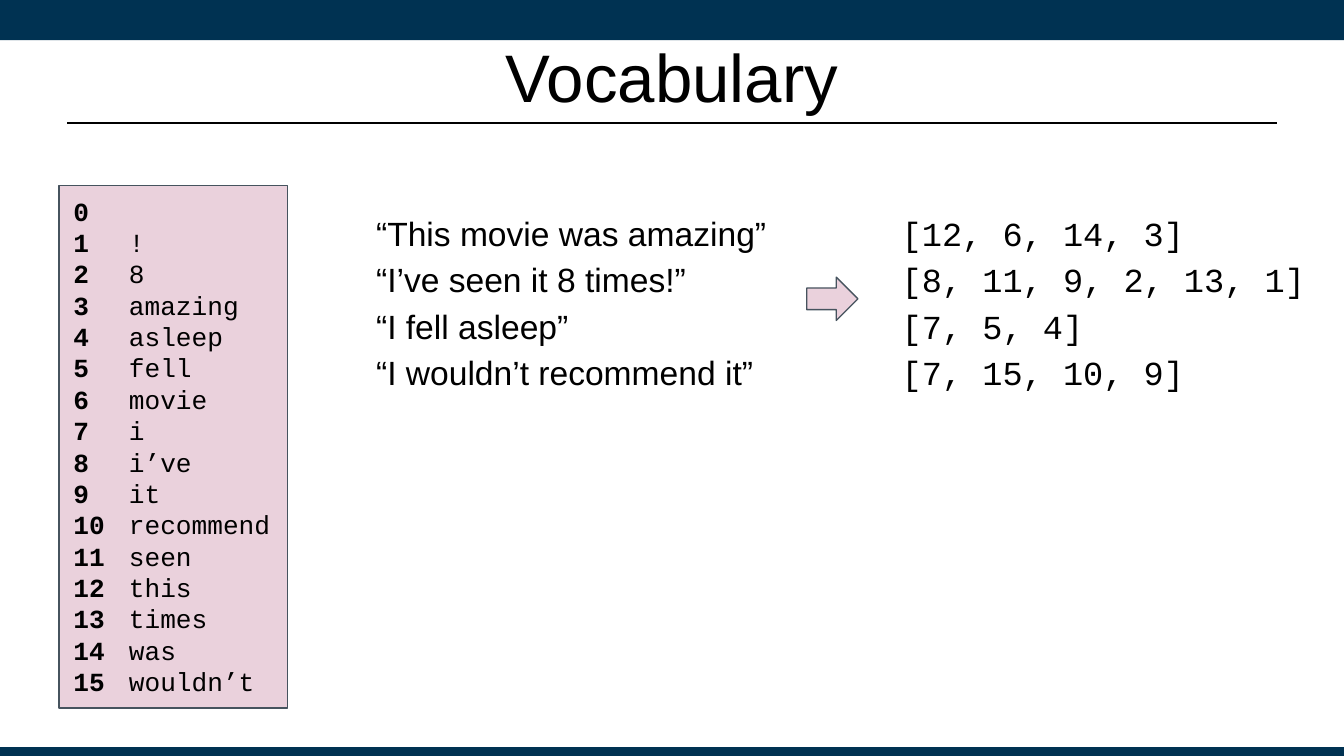
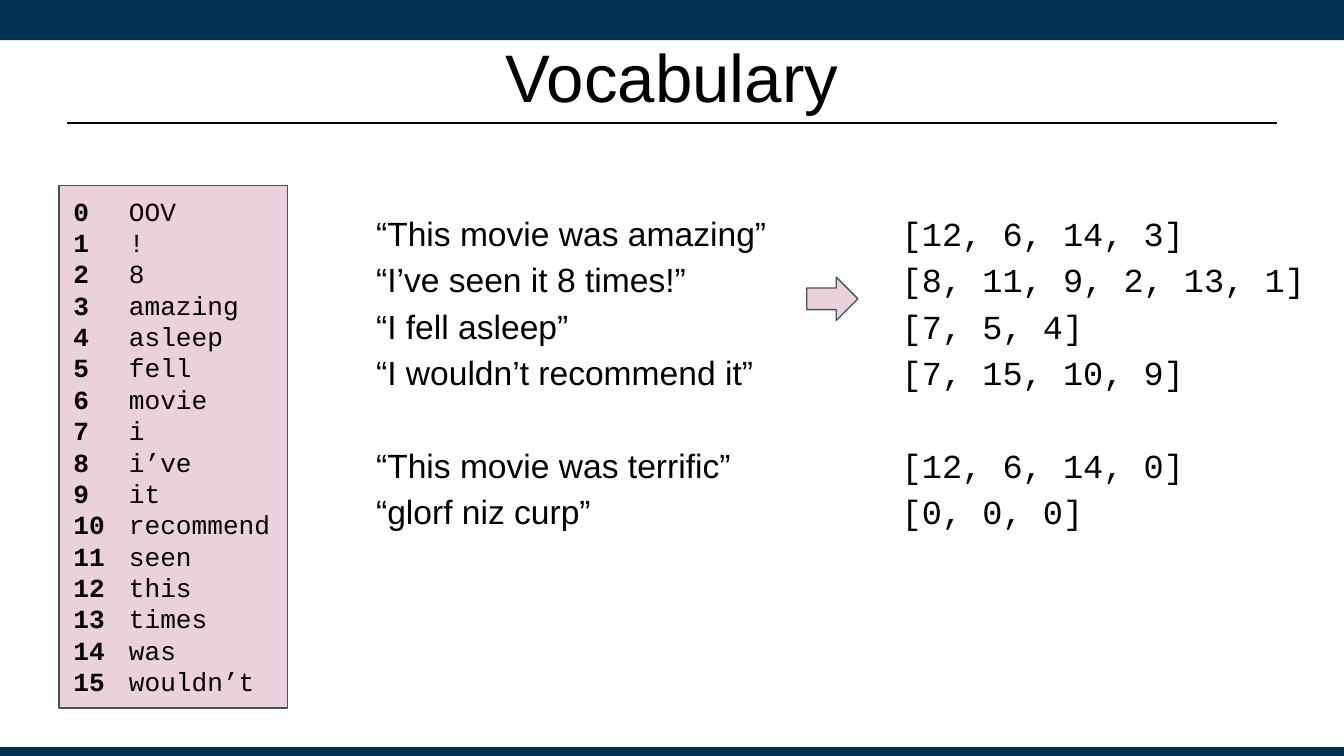
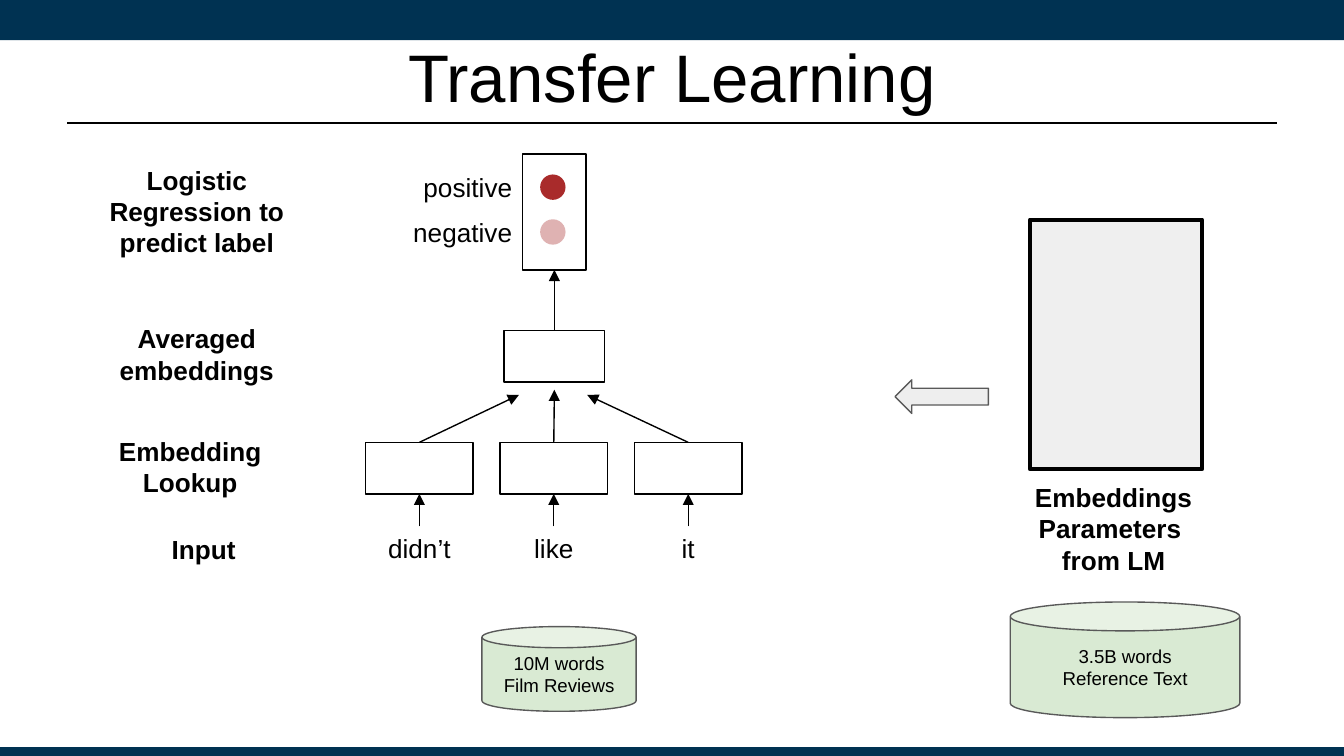
from lxml.etree import SubElement
from pptx import Presentation
from pptx.dml.color import RGBColor
from pptx.enum.shapes import MSO_CONNECTOR, MSO_SHAPE
from pptx.enum.text import MSO_ANCHOR, PP_ALIGN
from pptx.oxml.ns import qn
from pptx.util import Pt

NAVY = RGBColor(0x00, 0x32, 0x52)
BLACK = RGBColor(0x00, 0x00, 0x00)
WHITE = RGBColor(0xFF, 0xFF, 0xFF)
PINK = RGBColor(0xEA, 0xD1, 0xDC)
SLATE = RGBColor(0x46, 0x53, 0x5E)
RED = RGBColor(0x98, 0x00, 0x00)
PALE_GRAY = RGBColor(0xEF, 0xEF, 0xEF)
ARROW_GRAY = RGBColor(0xEE, 0xEE, 0xEE)
DARK_GRAY = RGBColor(0x59, 0x59, 0x59)
GREEN = RGBColor(0xD9, 0xEA, 0xD3)

SANS = "Arial"
MONO = "Courier New"
TITLE_ONLY = 5

WORDS = ["!", "8", "amazing", "asleep", "fell", "movie", "i", "i’ve", "it",
         "recommend", "seen", "this", "times", "was", "wouldn’t"]
KNOWN_REVIEWS = [
    ("“This movie was amazing”", "[12, 6, 14, 3]"),
    ("“I’ve seen it 8 times!”", "[8, 11, 9, 2, 13, 1]"),
    ("“I fell asleep”", "[7, 5, 4]"),
    ("“I wouldn’t recommend it”", "[7, 15, 10, 9]"),
]
UNKNOWN_REVIEWS = [
    ("“This movie was terrific”", "[12, 6, 14, 0]"),
    ("“glorf niz curp”", "[0, 0, 0]"),
]
WORD_LINE = 16.8
REVIEW_LINE = 24.8


class Deck:
    def __init__(self):
        self.presentation = Presentation()
        self.presentation.slide_width = Pt(720)
        self.presentation.slide_height = Pt(405)
        self.slide = None

    def add_slide(self, heading):
        layout = self.presentation.slide_layouts[TITLE_ONLY]
        self.slide = self.presentation.slides.add_slide(layout)
        title = self.slide.shapes.title
        title.left, title.top, title.width, title.height = Pt(36), Pt(18), Pt(648), Pt(45.4)
        self.set_text(title, [heading], 36, align=PP_ALIGN.CENTER,
                      anchor=MSO_ANCHOR.MIDDLE, inset=3.6)
        self.shape(MSO_SHAPE.RECTANGLE, 0, 0, 720, 21.6, NAVY)
        self.shape(MSO_SHAPE.RECTANGLE, 0, 400.2, 720, 4.8, NAVY)
        self.line((36, 66), (684, 66), weight=1.25)

    def set_text(self, holder, lines, size, font=SANS, bold=False, align=PP_ALIGN.LEFT,
                 anchor=MSO_ANCHOR.TOP, spacing=None, inset=7.2):
        frame = holder.text_frame
        frame.word_wrap = True
        frame.vertical_anchor = anchor
        frame.margin_left = frame.margin_right = Pt(7.2)
        frame.margin_top = frame.margin_bottom = Pt(inset)
        frame.text = "\n".join(lines)
        for paragraph in frame.paragraphs:
            paragraph.alignment = align
            paragraph.line_spacing = spacing
            paragraph.font.size = Pt(size)
            paragraph.font.name = font
            paragraph.font.bold = bold
            paragraph.font.color.rgb = BLACK

    def text(self, left, top, width, height, lines, size=14, **style):
        box = self.slide.shapes.add_textbox(Pt(left), Pt(top), Pt(width), Pt(height))
        self.set_text(box, lines, size, **style)
        return box

    def label(self, left, top, width, height, *lines):
        return self.text(left, top, width, height, lines, bold=True, align=PP_ALIGN.CENTER)

    def shape(self, kind, left, top, width, height, fill, outline=None, weight=0.75, opacity=None):
        shape = self.slide.shapes.add_shape(kind, Pt(left), Pt(top), Pt(width), Pt(height))
        shape.shadow.inherit = False
        shape.fill.solid()
        shape.fill.fore_color.rgb = fill
        if opacity is not None:
            color = shape._element.spPr.find(".//" + qn("a:srgbClr"))
            SubElement(color, qn("a:alpha"), val=str(opacity * 1000))
        if outline is None:
            shape.line.fill.background()
        else:
            shape.line.color.rgb = outline
            shape.line.width = Pt(weight)
        return shape

    def box(self, left, top, width, height):
        return self.shape(MSO_SHAPE.RECTANGLE, left, top, width, height, WHITE, BLACK)

    def line(self, start, end, weight=0.75, arrow=False, source=None, target=None):
        connector = self.slide.shapes.add_connector(
            MSO_CONNECTOR.STRAIGHT, *(Pt(value) for value in (*start, *end)))
        connector.line.color.rgb = BLACK
        connector.line.width = Pt(weight)
        if arrow:
            outline = connector._element.spPr.find(qn("a:ln"))
            SubElement(outline, qn("a:tailEnd"), type="triangle")
        SubElement(connector._element.spPr, qn("a:effectLst"))
        if source is not None:
            connector.begin_connect(source, 0)
        if target is not None:
            connector.end_connect(target, 2)

    def database(self, left, top, width, height, *lines):
        can = self.shape(MSO_SHAPE.CAN, left, top, width, height, GREEN, DARK_GRAY)
        self.set_text(can, lines, 10, align=PP_ALIGN.CENTER, anchor=MSO_ANCHOR.MIDDLE)

    def review_column(self, left, width, known, unknown, font):
        lines = known + unknown
        column = self.text(left, 103.7, width, 14.4 + REVIEW_LINE * len(lines), lines,
                           size=18, font=font, spacing=1.15)
        if unknown:
            first_unknown = column.text_frame.paragraphs[len(known)]
            first_unknown.space_before = Pt(REVIEW_LINE)

    def vocabulary(self, words, first_index, unknown_reviews):
        self.add_slide("Vocabulary")
        known_texts, known_codes = map(list, zip(*KNOWN_REVIEWS))
        unknown_texts = [review for review, _ in unknown_reviews]
        unknown_codes = [code for _, code in unknown_reviews]
        self.review_column(194.4, 250, known_texts, unknown_texts, SANS)
        self.review_column(476, 234, known_codes, unknown_codes, MONO)
        self.shape(MSO_SHAPE.RIGHT_ARROW, 432.2, 148.5, 27.4, 23.2, PINK, SLATE)
        self.shape(MSO_SHAPE.RECTANGLE, 31.6, 99.3, 122.4, 280, PINK, SLATE)
        skipped = first_index * WORD_LINE
        self.text(62, 97.2 + skipped, 100, 286 - skipped, words, font=MONO)
        indices = [str(index) for index in range(len(WORDS) + 1)]
        self.text(32.2, 97.2, 34, 286, indices, font=MONO, bold=True)

    def transfer_learning(self):
        self.add_slide("Transfer Learning")
        self.label(40.3, 80.6, 130.3, 80.6, "Logistic Regression to predict label")
        self.label(40.3, 165.6, 130.3, 45.4, "Averaged embeddings")
        self.label(40.3, 226.1, 123.1, 45.4, "Embedding Lookup")
        self.label(47.5, 278.6, 123.1, 45.4, "Input")

        prediction = self.box(280, 82.6, 34, 62)
        average = self.box(270, 177.2, 54, 27.4)
        self.line((297, 177.2), (297, 144.6), arrow=True, source=average, target=prediction)
        for row, (name, opacity) in enumerate([("positive", 83), ("negative", 30)]):
            middle = 100.3 + 24 * row
            self.shape(MSO_SHAPE.OVAL, 289.4, middle - 6.8, 13.6, 13.6, RED, opacity=opacity)
            self.text(208.8, middle - 17.3, 72.7, 34.6, [name],
                      align=PP_ALIGN.RIGHT, anchor=MSO_ANCHOR.MIDDLE)

        tips = [(278, 211.6), (297, 208.8), (314.6, 211.6)]
        for column, (word, tip) in enumerate(zip(["didn’t", "like", "it"], tips)):
            center = 224.7 + 72 * column
            token = self.text(center - 39.6, 282, 79.2, 27.4, [word],
                              align=PP_ALIGN.CENTER, anchor=MSO_ANCHOR.BOTTOM)
            embedding = self.box(center - 28.8, 237, 57.6, 27.6)
            self.line((center, 282), (center, 264.6), arrow=True, source=token, target=embedding)
            self.line((center, 237), tip, arrow=True, source=embedding)

        self.shape(MSO_SHAPE.RECTANGLE, 551.8, 117.7, 92.2, 133.7, PALE_GRAY, BLACK, weight=2.25)
        self.label(509.8, 250.6, 173.5, 52.6, "Embeddings", "Parameters ", "from LM")
        self.shape(MSO_SHAPE.LEFT_ARROW, 479.5, 203.5, 50, 18, ARROW_GRAY, DARK_GRAY)
        self.database(541.2, 322.5, 123, 62, "3.5B words", "Reference Text")
        self.database(258.2, 335.7, 82.6, 45.4, "10M words", "Film Reviews")


def main():
    deck = Deck()
    deck.vocabulary(WORDS, 1, [])
    deck.vocabulary(["OOV"] + WORDS, 0, UNKNOWN_REVIEWS)
    deck.transfer_learning()
    deck.presentation.save("out.pptx")


if __name__ == "__main__":
    main()
